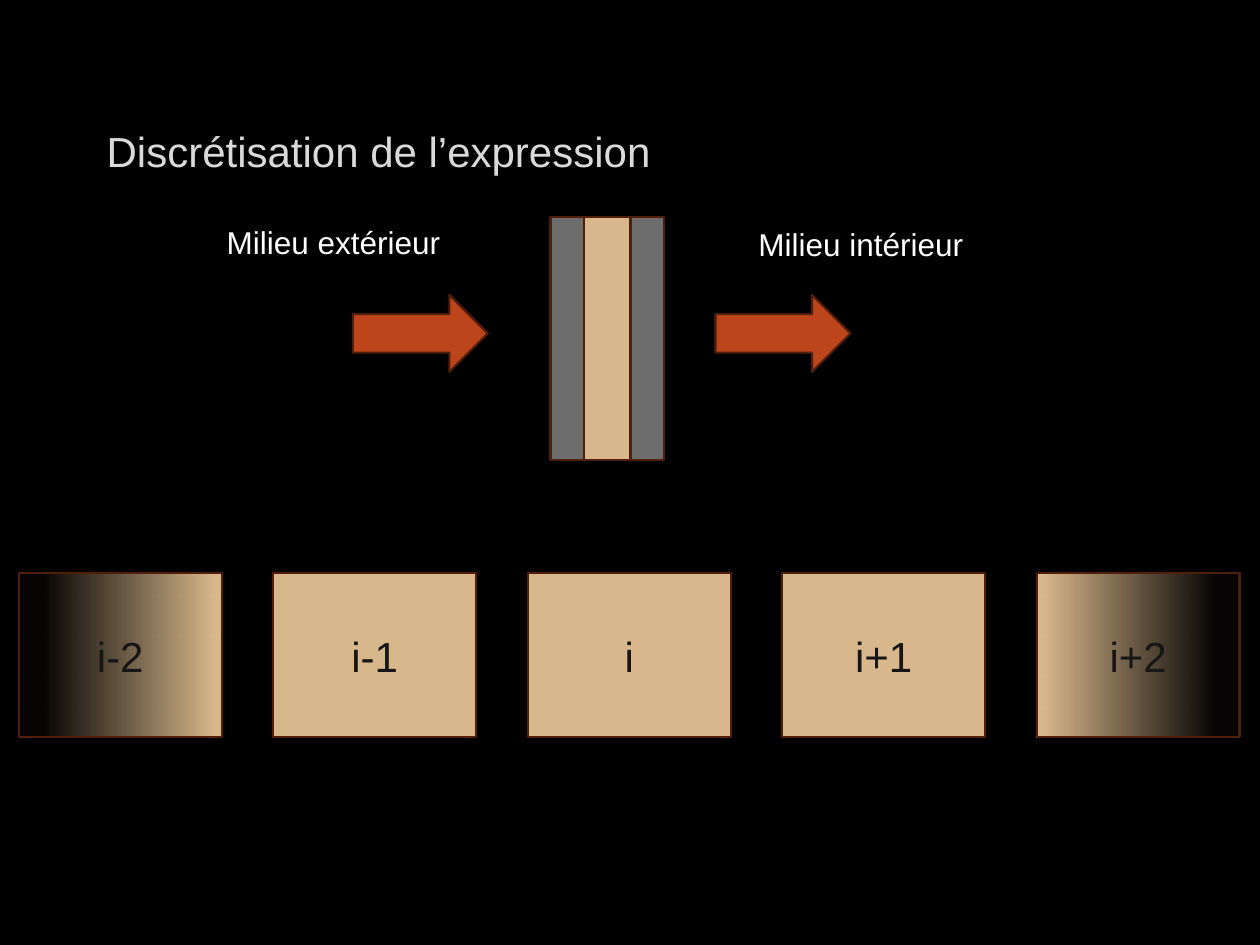
from pptx import Presentation
from pptx.dml.color import RGBColor
from pptx.enum.shapes import MSO_SHAPE as Preset
from pptx.enum.text import MSO_ANCHOR as Anchor, MSO_AUTO_SIZE as AutoSize, PP_ALIGN as Align
from pptx.oxml.ns import qn
from pptx.util import Cm, Pt
from lxml.etree import SubElement

BLACK = RGBColor(0x00, 0x00, 0x00)
WHITE = RGBColor(0xFF, 0xFF, 0xFF)
TITLE_GREY = RGBColor(0xDA, 0xDA, 0xDA)
INK = RGBColor(0x16, 0x16, 0x16)
SAND = RGBColor(0xD7, 0xB7, 0x8B)
WALL_GREY = RGBColor(0x6D, 0x6D, 0x6D)
RUST = RGBColor(0xBC, 0x45, 0x1B)
BROWN = RGBColor(0x52, 0x1E, 0x0C)


class SlideBuilder:
    font_name = "Arial"
    line_width = Pt(1.25)

    def __init__(self, slide):
        self.slide = slide

    def background(self, color):
        fill = self.slide.background.fill
        fill.solid()
        fill.fore_color.rgb = color

    def add_text_run(self, frame, text, size, color, align=Align.LEFT):
        paragraph = frame.paragraphs[0]
        paragraph.alignment = align
        run = paragraph.add_run()
        run.text = text
        run.font.name = self.font_name
        run.font.size = Pt(size)
        run.font.color.rgb = color

    def text(self, text, left, top, width, height, size, color, anchor=Anchor.TOP,
             auto_size=AutoSize.NONE):
        box = self.slide.shapes.add_textbox(Cm(left), Cm(top), Cm(width), Cm(height))
        frame = box.text_frame
        frame.word_wrap = True
        frame.auto_size = auto_size
        frame.vertical_anchor = anchor
        self.add_text_run(frame, text, size, color)

    def block(self, left, top, width, height, color, preset=Preset.RECTANGLE):
        shape = self.slide.shapes.add_shape(preset, Cm(left), Cm(top), Cm(width), Cm(height))
        shape.shadow.inherit = False
        shape.fill.solid()
        shape.fill.fore_color.rgb = color
        shape.line.color.rgb = BROWN
        shape.line.width = self.line_width
        return shape

    def arrow(self, left, top, width, height):
        self.block(left, top, width, height, RUST, Preset.DOWN_ARROW).rotation = 270

    def cell(self, label, left, top, width, height, fade_angle=None):
        shape = self.block(left, top, width, height, SAND)
        if fade_angle is not None:
            self.fade(shape, fade_angle)
        frame = shape.text_frame
        frame.vertical_anchor = Anchor.MIDDLE
        self.add_text_run(frame, label, 24, INK, Align.CENTER)

    def fade(self, shape, angle):
        """Run from almost transparent to opaque sand."""
        fill = shape.fill
        fill.gradient()
        fill.gradient_angle = angle
        for stop, position in zip(fill.gradient_stops, (0.12, 0.96)):
            stop.color.rgb = SAND
            stop.position = position
        gradient = shape.element.spPr.find(qn("a:gradFill"))
        first_color = next(gradient.iter(qn("a:srgbClr")))
        SubElement(first_color, qn("a:alpha")).set("val", "2000")


def main():
    presentation = Presentation()
    presentation.slide_width, presentation.slide_height = Cm(25.4), Cm(19.05)
    builder = SlideBuilder(presentation.slides.add_slide(presentation.slide_layouts[6]))
    builder.background(BLACK)

    # Title
    builder.text("Discrétisation de l’expression", 1.9, 1.7, 21.56, 2.69, 24, TITLE_GREY,
                 Anchor.MIDDLE)

    # Membrane: sand core between two grey walls
    left, wall, core = 11.1, 0.67, 0.94
    for width, color in ((wall, WALL_GREY), (core, SAND), (wall, WALL_GREY)):
        builder.block(left, 4.37, width, 4.9, color)
        left += width

    # Flow arrows and the two media
    for arrow_left in (7.7, 15.01):
        builder.arrow(arrow_left, 5.36, 1.55, 2.72)
    for label, label_left, label_top in (("Milieu extérieur", 4.32, 4.37),
                                         ("Milieu intérieur", 15.04, 4.42)):
        builder.text(label, label_left, label_top, 5.28, 1.02, 18, WHITE,
                     auto_size=AutoSize.SHAPE_TO_FIT_TEXT)

    # Discretisation cells, fading out at both ends
    fade_angles = {"i-2": 0, "i+2": 180}
    for index, label in enumerate(("i-2", "i-1", "i", "i+1", "i+2")):
        builder.cell(label, 0.38 + 5.13 * index, 11.56, 4.09, 3.3, fade_angles.get(label))

    presentation.save("out.pptx")


if __name__ == "__main__":
    main()
